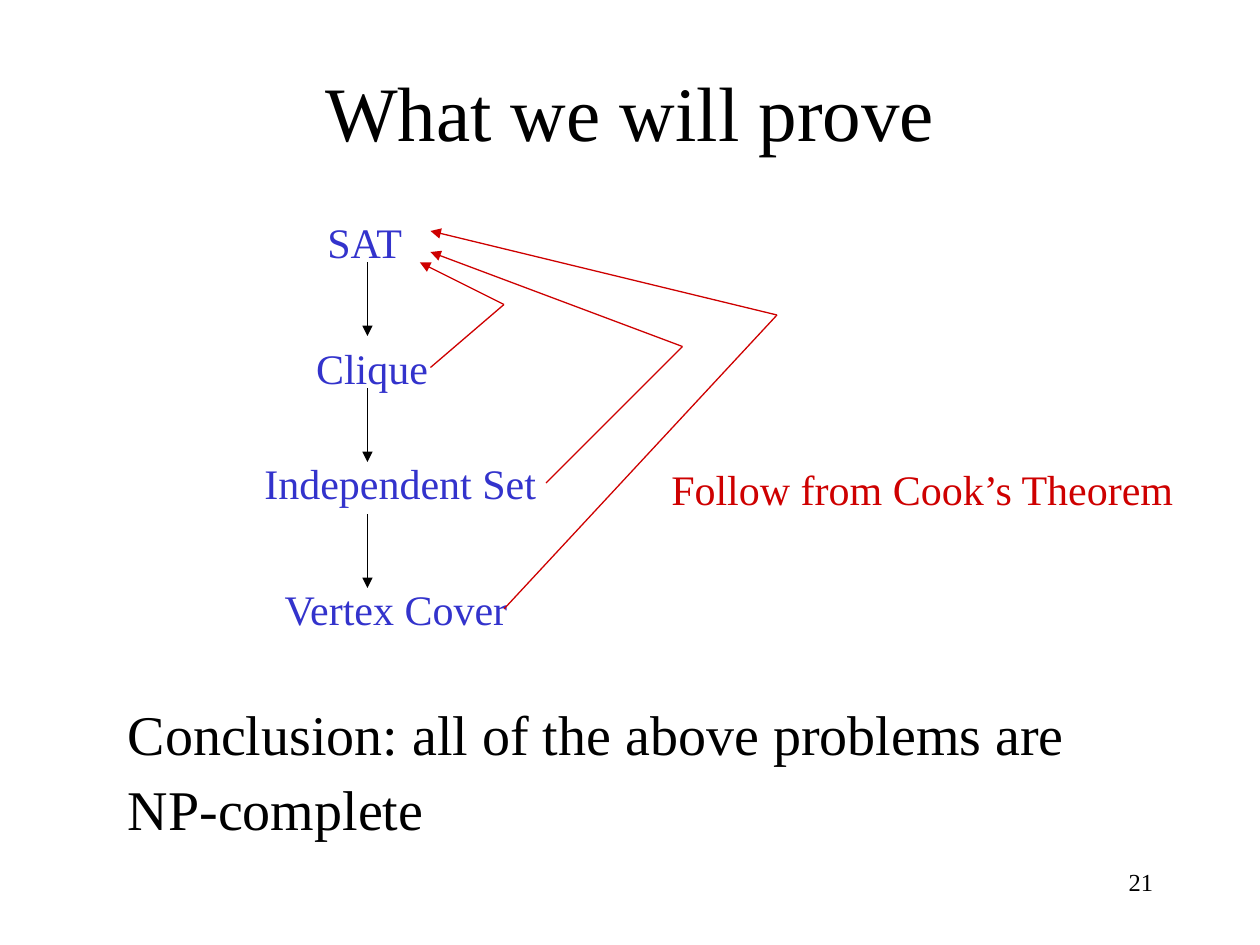
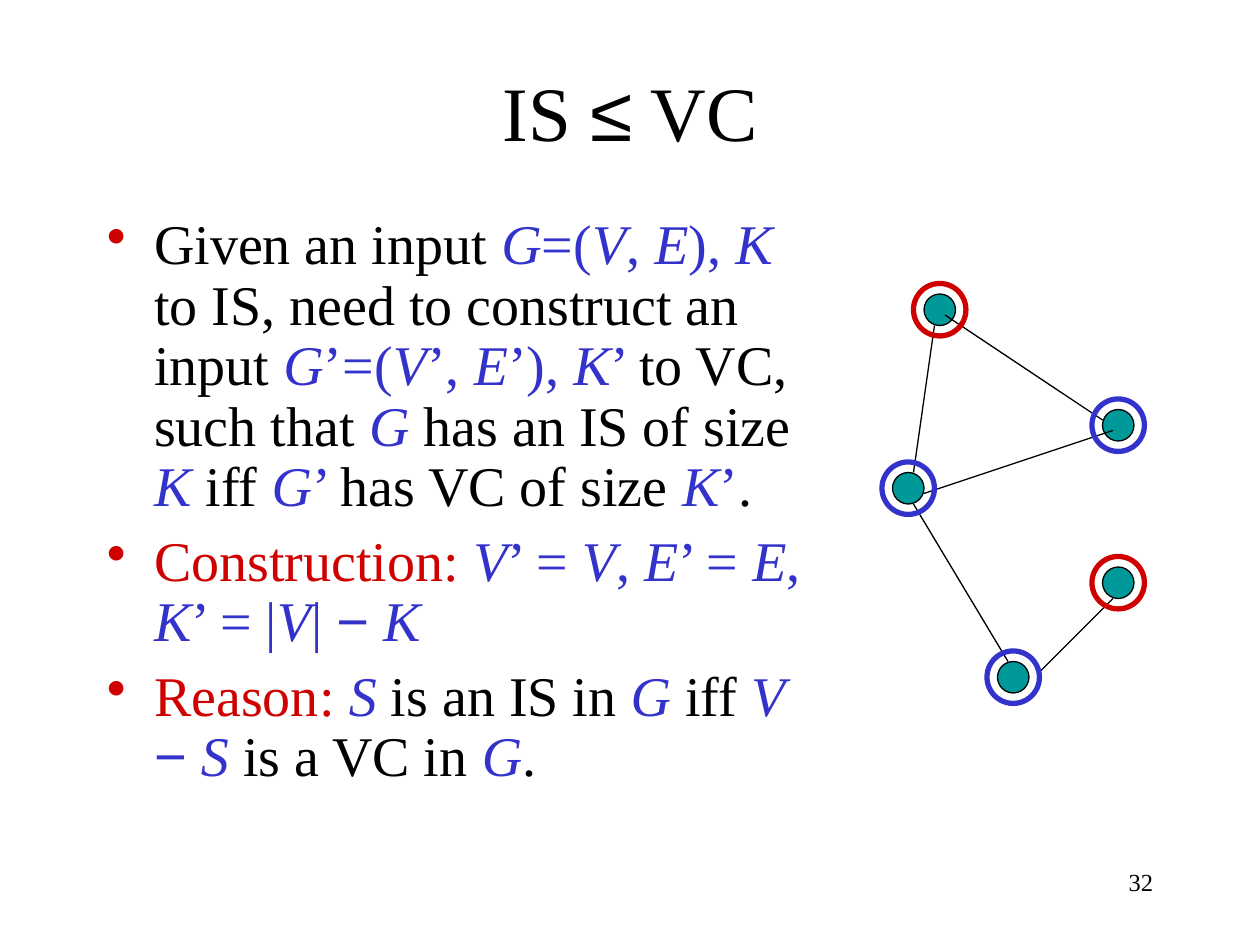
from dataclasses import dataclass
from itertools import groupby

import pptx
import pptx.util
from lxml import etree
from pptx.dml.color import RGBColor
from pptx.enum.shapes import MSO_CONNECTOR, MSO_SHAPE
from pptx.enum.text import MSO_ANCHOR, PP_ALIGN
from pptx.oxml.ns import qn

Pt = pptx.util.Pt
FONT = "Times New Roman"
SIGN_FONT = "Arial"
SIGNS = "≤−"
INK = {"black": "000000", "blue": "3333CC", "red": "CE0000", "teal": "009999"}


@dataclass
class Label:
    text: str
    left: float
    top: float
    width: float
    height: float = 36
    size: int = 24
    ink: str = "blue"
    align: PP_ALIGN = PP_ALIGN.LEFT
    wrap: bool = False


@dataclass
class Detour:
    start: tuple[float, float]
    bend: tuple[float, float]
    end: tuple[float, float]


@dataclass
class Node:
    left: float
    top: float
    ring: str


@dataclass
class Point:
    lead: str
    text: str


PROBLEMS = [
    Label("SAT", 180, 120, 60),
    Label("Clique", 173.5, 192, 78.5),
    Label("Independent Set", 144, 258, 170),
    Label("Vertex Cover", 155.5, 330, 145),
]
DETOURS = [
    Detour((246, 210), (288, 174), (240, 150)),
    Detour((288, 348), (444, 180), (246, 132)),
    Detour((312, 276), (390, 198), (246, 144)),
]
COOK = Label("Follow from Cook’s Theorem", 376.5, 261.5, 303, ink="red")
CLOSE = Label("Conclusion: all of the above problems are\nNP-complete",
              66, 400.5, 550, 84, size=32)

# Text between dollar signs is mathematics.
POINTS = [
    Point("", "Given an input $G=(V, E), K $to IS, need to construct an input "
              "$G’=(V’, E’), K’ $to VC, such that $G$ has an IS of size $K $iff "
              "$G’ $has VC of size $K’$."),
    Point("Construction: ", "$V’ = V, E’ = E, K’ = |V| − K$"),
    Point("Reason: ", "$S $is an IS in $G $iff $V − S $is a VC in $G$."),
]
NODES = [
    Node(528, 168, "red"),
    Node(630, 234, "blue"),
    Node(510, 270, "blue"),
    Node(630, 324, "red"),
    Node(570, 378, "blue"),
]
EDGES = [
    ((534, 186), (522, 270)),
    ((540, 180), (630, 240)),
    ((528, 282), (636, 246)),
    ((522, 288), (576, 378)),
    ((636, 342), (594, 384)),
]
DOT, RING = 18, 30


def rgb(ink: str) -> RGBColor:
    return RGBColor.from_string(INK[ink])


def style(font, size: float, ink: str, name: str = FONT) -> None:
    font.name, font.size = name, Pt(size)
    font.color.rgb = rgb(ink)


def kind(char: str) -> str:
    if char in SIGNS:
        return "sign"
    return "letter" if char.isalpha() else "mark"


def add_run(para, text: str, size: float, ink: str, maths: bool = False) -> None:
    """Add text, with signs in their own font and the letters of maths italic."""
    def rule(char: str) -> str:
        sort = kind(char)
        return sort if maths or sort == "sign" else "plain"

    for sort, chars in groupby(text, rule):
        run = para.add_run()
        run.text = "".join(chars)
        style(run.font, size, ink, SIGN_FONT if sort == "sign" else FONT)
        run.font.italic = sort == "letter"


def add_text(slide, label: Label):
    box = slide.shapes.add_textbox(Pt(label.left), Pt(label.top),
                                   Pt(label.width), Pt(label.height))
    frame = box.text_frame
    frame.word_wrap = label.wrap
    frame.text = label.text
    for para in frame.paragraphs:
        para.alignment = label.align
        for run in para.runs:
            style(run.font, label.size, label.ink)
    return frame


def space(paras) -> None:
    for num, para in enumerate(paras):
        para.line_spacing = 0.9
        para.space_before = Pt(8 if num else 0)


def add_line(slide, start, end, ink: str = "black", arrow: bool = False) -> None:
    line = slide.shapes.add_connector(MSO_CONNECTOR.STRAIGHT,
                                      *map(Pt, start), *map(Pt, end))
    line.line.color.rgb = rgb(ink)
    line.line.width = Pt(0.75)
    if arrow:
        etree.SubElement(line.line._get_or_add_ln(), qn("a:tailEnd"), type="triangle")
    etree.SubElement(line._element.spPr, qn("a:effectLst"))


def add_disc(slide, node: Node, size: float, ink: str, width: float,
             fill: str = "") -> None:
    """Draw a circle of the given size about the middle of a node."""
    shift = (DOT - size) / 2
    disc = slide.shapes.add_shape(MSO_SHAPE.OVAL, Pt(node.left + shift),
                                  Pt(node.top + shift), Pt(size), Pt(size))
    disc.shadow.inherit = False
    if fill:
        disc.fill.solid()
        disc.fill.fore_color.rgb = rgb(fill)
    else:
        disc.fill.background()
    disc.line.color.rgb = rgb(ink)
    disc.line.width = Pt(width)


def add_slide(deck, title: str, page: int):
    slide = deck.slides.add_slide(deck.slide_layouts[5])
    head = slide.shapes.title
    head.left, head.top, head.width, head.height = map(Pt, (54, 18, 612, 90))
    frame = head.text_frame
    frame.vertical_anchor = MSO_ANCHOR.MIDDLE
    frame.word_wrap = True
    para = frame.paragraphs[0]
    para.alignment = PP_ALIGN.CENTER
    add_run(para, title, 44, "black")
    add_text(slide, Label(str(page), 516, 492, 150, size=14, ink="black",
                          align=PP_ALIGN.RIGHT, wrap=True))
    return slide


def add_points(slide, points: list[Point]) -> None:
    frame = add_text(slide, Label("", 54, 120, 420, 360, wrap=True))
    paras = [frame.paragraphs[0]] + [frame.add_paragraph() for _ in points[1:]]
    space(paras)
    for para, point in zip(paras, points):
        props = para._p.get_or_add_pPr()
        props.set("marL", str(Pt(27)))
        props.set("indent", str(Pt(-27)))
        tint = etree.SubElement(props, qn("a:buClr"))
        etree.SubElement(tint, qn("a:srgbClr"), val=INK["red"])
        etree.SubElement(props, qn("a:buChar"), char="•")
        if point.lead:
            add_run(para, point.lead, 32, "red")
        for num, part in enumerate(point.text.split("$")):
            maths = num % 2 == 1
            add_run(para, part, 32, "blue" if maths else "black", maths)


def add_proof(deck) -> None:
    slide = add_slide(deck, "What we will prove", 21)
    for label in PROBLEMS:
        add_text(slide, label)
    for num in range(len(PROBLEMS) - 1):
        top = 150 + 72 * num
        add_line(slide, (210, top), (210, top + 42), arrow=True)
    for way in DETOURS:
        add_line(slide, way.start, way.bend, "red")
        add_line(slide, way.bend, way.end, "red", arrow=True)
    add_text(slide, COOK)
    CLOSE.ink = "black"
    space(add_text(slide, CLOSE).paragraphs)


def add_cover(deck) -> None:
    slide = add_slide(deck, "IS ≤ VC", 32)
    add_points(slide, POINTS)
    for node in NODES:
        add_disc(slide, node, DOT, "black", 0.75, fill="teal")
    for start, end in EDGES:
        add_line(slide, start, end)
    for node in NODES:
        add_disc(slide, node, RING, node.ring, 3)


def main() -> None:
    deck = pptx.Presentation()
    deck.slide_width, deck.slide_height = Pt(720), Pt(540)
    add_proof(deck)
    add_cover(deck)
    deck.save("out.pptx")


if __name__ == "__main__":
    main()
